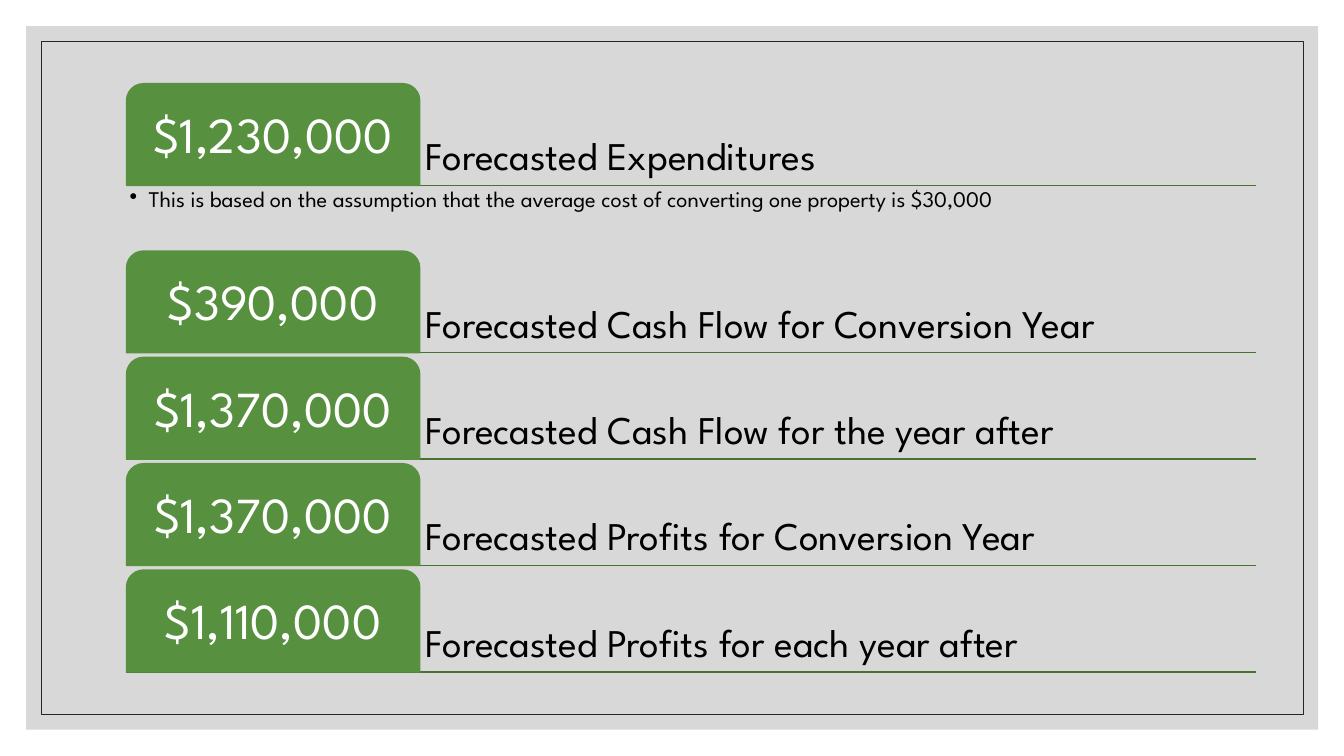
from lxml.etree import SubElement
from pptx import Presentation
from pptx.dml.color import RGBColor
from pptx.enum.shapes import MSO_CONNECTOR, MSO_SHAPE
from pptx.enum.text import MSO_ANCHOR, PP_ALIGN
from pptx.oxml.ns import qn
from pptx.util import Emu, Pt

PX = 4572  # 200 px to the inch
FONT = "League Spartan"
GREEN, DARK_GREEN = "57903F", "467332"
TAB_WIDTH, ROW_HEIGHT, ROW_GAP, NOTE_HEIGHT = 582, 202, 9, 121

# Amount, label, note
FORECASTS = [
    ("$1,230,000", "Forecasted Expenditures",
     "This is based on the assumption that the average cost of converting "
     "one property is $30,000"),
    ("$390,000", "Forecasted Cash Flow for Conversion Year", None),
    ("$1,370,000", "Forecasted Cash Flow for the year after", None),
    ("$1,370,000", "Forecasted Profits for Conversion Year", None),
    ("$1,110,000", "Forecasted Profits for each year after", None),
]


def px(*lengths):
    return [Emu(length * PX) for length in lengths]


def color(hex_string):
    return RGBColor.from_string(hex_string)


def set_all(target, values):
    for name, value in values.items():
        setattr(target, name, value)


def write(shape, text, size, ink, inset, anchor, align=PP_ALIGN.LEFT):
    frame = shape.text_frame
    margin = Emu(inset * PX)
    set_all(frame, {"word_wrap": True, "vertical_anchor": anchor,
                    "margin_left": margin, "margin_right": margin,
                    "margin_top": margin, "margin_bottom": margin})
    paragraph = frame.paragraphs[0]
    set_all(paragraph, {"text": text, "alignment": align, "line_spacing": 0.9})
    font = paragraph.runs[0].font
    set_all(font, {"name": FONT, "size": Pt(size)})
    font.color.rgb = color(ink)
    return paragraph


def add_block(slide, kind, box, fill=None, line=None, width=1):
    shape = slide.shapes.add_shape(kind, *px(*box))
    shape.shadow.inherit = False
    if fill:
        shape.fill.solid()
        shape.fill.fore_color.rgb = color(fill)
    else:
        shape.fill.background()
    if line:
        shape.line.color.rgb = color(line)
        shape.line.width = Pt(width)
    else:
        shape.line.fill.background()
    return shape


def add_backdrop(slide, left, top, width, height):
    # Translucent grey panel
    panel = add_block(slide, MSO_SHAPE.RECTANGLE, (left, top, width, height), "BFBFBF")
    fill_color = panel.fill._xPr.find(qn("a:solidFill"))[0]
    SubElement(fill_color, qn("a:alpha"), val="60000")
    # Thin inner frame
    margin = 30
    add_block(slide, MSO_SHAPE.RECTANGLE,
              (left + margin, top + margin, width - 2 * margin, height - 2 * margin),
              line="262626", width=0.5)


def add_note(slide, text, left, top, width, height):
    box = slide.shapes.add_textbox(*px(left, top, width, height))
    paragraph = write(box, text, 16, "000000", 6, MSO_ANCHOR.TOP)
    properties = paragraph._p.get_or_add_pPr()
    indent = 38 * PX
    properties.set("marL", str(indent))
    properties.set("indent", str(-indent))
    SubElement(properties, qn("a:buChar"), char="•")


def add_forecast(slide, amount, label, left, top, width, height):
    # Rule under the row
    bottom = top + height
    rule = slide.shapes.add_connector(
        MSO_CONNECTOR.STRAIGHT, *px(left, bottom, left + width, bottom))
    rule.line.color.rgb = color(DARK_GREEN)
    rule.line.width = Pt(1)
    SubElement(rule._element.spPr, qn("a:effectLst"))
    # Label
    box = slide.shapes.add_textbox(
        *px(left + TAB_WIDTH, top, width - TAB_WIDTH, height))
    write(box, label, 28, "000000", 12, MSO_ANCHOR.BOTTOM)
    # Amount tab
    tab = add_block(slide, MSO_SHAPE.ROUND_2_SAME_RECTANGLE,
                    (left, top, TAB_WIDTH, height), GREEN, GREEN)
    tab.adjustments[0] = 0.167
    write(tab, amount, 36, "FFFFFF", 14, MSO_ANCHOR.MIDDLE, PP_ALIGN.CENTER)


def add_forecast_list(slide, left, top, width):
    for amount, label, note in FORECASTS:
        add_forecast(slide, amount, label, left, top, width, ROW_HEIGHT)
        if note:
            add_note(slide, note, left, top + ROW_HEIGHT, width, NOTE_HEIGHT)
            top += NOTE_HEIGHT
        top += ROW_HEIGHT + ROW_GAP


def main():
    presentation = Presentation()
    presentation.slide_width, presentation.slide_height = px(2667, 1500)
    slide = presentation.slides.add_slide(presentation.slide_layouts[6])
    add_backdrop(slide, 52, 52, 2564, 1396)
    add_forecast_list(slide, 251, 166, 2241)
    presentation.save("out.pptx")


if __name__ == "__main__":
    main()
